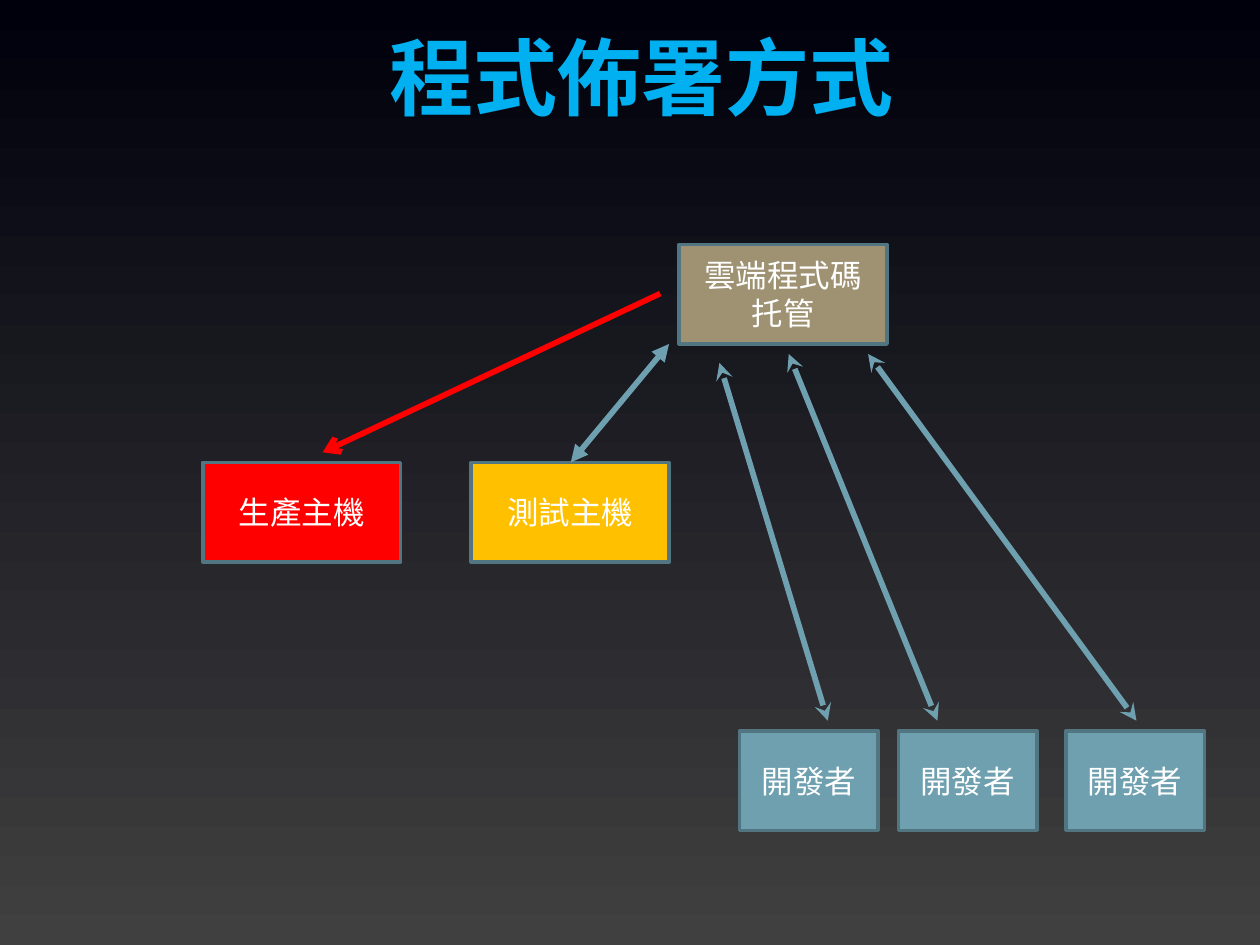
import lxml.etree
import pptx
import pptx.dml.color
import pptx.enum.shapes
import pptx.enum.text
import pptx.oxml.ns
import pptx.util

Inches = pptx.util.Inches
qn = pptx.oxml.ns.qn

TITLE_FONT = "Noto Sans CJK SC"
LABEL_FONT = "TeX Gyre Schola"
BLUE = "6EA0B0"
RED = "FF0000"
BOX_HEIGHT = 0.79
HOST_TOP, HOST_WIDTH = 3.67, 1.57
DEVELOPER_TOP, DEVELOPER_WIDTH = 5.8, 1.1


def rgb(value):
    return pptx.dml.color.RGBColor.from_string(value)


def add_run(paragraph, text, size, font_name, color, bold=False):
    run = paragraph.add_run()
    run.text = text
    run.font.size = pptx.util.Pt(size)
    run.font.bold = bold
    run.font.color.rgb = rgb(color)
    run.font.name = font_name
    east_asian = lxml.etree.SubElement(run.font._element, qn("a:ea"))
    east_asian.set("typeface", font_name)


def paint_background(slide, top, bottom):
    fill = slide.background.fill
    fill.gradient()
    fill.gradient_angle = 90
    for stop, color, position in zip(fill.gradient_stops, (bottom, top), (0, 1)):
        stop.color.rgb = rgb(color)
        stop.position = position


def set_title(slide, text):
    title = slide.shapes.title
    title.left, title.top = Inches(2.99), Inches(0.3)
    title.width, title.height = Inches(4.5), Inches(0.61)
    frame = title.text_frame
    frame.auto_size = pptx.enum.text.MSO_AUTO_SIZE.NONE
    frame.vertical_anchor = pptx.enum.text.MSO_ANCHOR.MIDDLE
    frame.paragraphs[0].alignment = pptx.enum.text.PP_ALIGN.LEFT
    add_run(frame.paragraphs[0], text, 48, TITLE_FONT, "00B0F0", bold=True)


def add_node(slide, label, left, top, width, color):
    node = slide.shapes.add_shape(
        pptx.enum.shapes.MSO_SHAPE.RECTANGLE,
        Inches(left), Inches(top), Inches(width), Inches(BOX_HEIGHT))
    node.shadow.inherit = False
    node.fill.solid()
    node.fill.fore_color.rgb = rgb(color)
    node.line.color.rgb = rgb("517682")
    node.line.width = pptx.util.Pt(2)
    frame = node.text_frame
    frame.word_wrap = True
    frame.vertical_anchor = pptx.enum.text.MSO_ANCHOR.MIDDLE
    frame.paragraphs[0].alignment = pptx.enum.text.PP_ALIGN.CENTER
    add_run(frame.paragraphs[0], label, 18, LABEL_FONT, "FFFFFF")


def add_arrow(slide, start, end, color, tip, both_ends=True):
    arrow = slide.shapes.add_connector(
        pptx.enum.shapes.MSO_CONNECTOR.STRAIGHT,
        *(Inches(value) for value in start + end))
    arrow.line.color.rgb = rgb(color)
    arrow.line.width = pptx.util.Pt(3.25)
    properties = arrow._element.spPr
    outline = properties.find(qn("a:ln"))
    for tag in ("a:headEnd", "a:tailEnd") if both_ends else ("a:tailEnd",):
        lxml.etree.SubElement(outline, qn(tag)).set("type", tip)
    lxml.etree.SubElement(properties, qn("a:effectLst"))


def main():
    deck = pptx.Presentation()
    deck.slide_width, deck.slide_height = Inches(10), Inches(7.5)
    slide = deck.slides.add_slide(deck.slide_layouts[5])
    paint_background(slide, top="00000C", bottom="404040")
    set_title(slide, "程式佈署方式")

    # Developers, code hosting and the two hosts
    for left in (8.46, 7.13, 5.87):
        add_node(slide, "開發者", left, DEVELOPER_TOP, DEVELOPER_WIDTH, BLUE)
    add_node(slide, "雲端程式碼托管", 5.39, 1.94, 1.65, "9E9273")
    add_node(slide, "測試主機", 3.74, HOST_TOP, HOST_WIDTH, "FFC000")
    add_node(slide, "生產主機", 1.61, HOST_TOP, HOST_WIDTH, RED)

    # Developers exchange code with the hosting service
    for developer_x, hosting_x, hosting_y in (
            (9.02, 6.89, 2.81), (7.44, 6.26, 2.81), (6.57, 5.71, 2.88)):
        add_arrow(slide, (developer_x, 5.72), (hosting_x, hosting_y), BLUE, "stealth")

    # Test host syncs both ways, production only receives
    add_arrow(slide, (4.53, HOST_TOP), (5.31, 2.73), BLUE, "triangle")
    add_arrow(slide, (5.24, 2.33), (2.56, 3.59), RED, "arrow", both_ends=False)

    deck.save("out.pptx")


if __name__ == "__main__":
    main()
